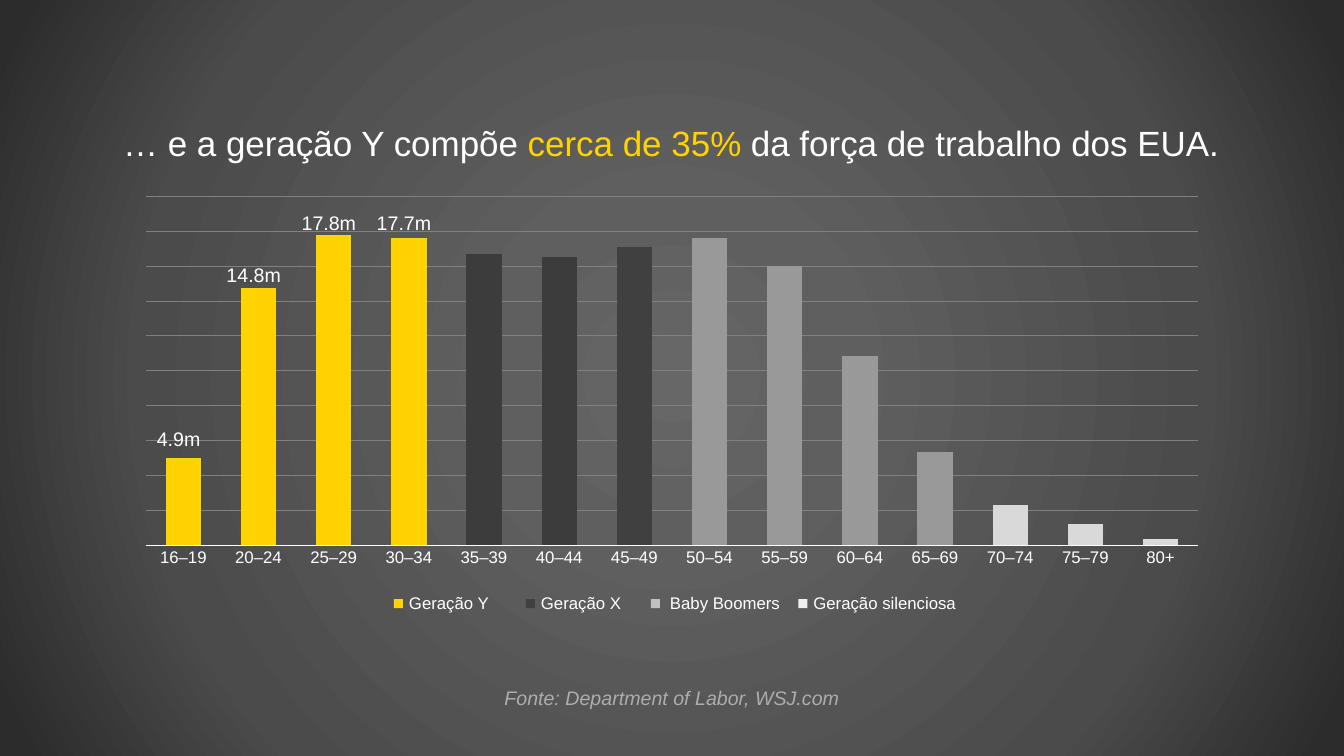
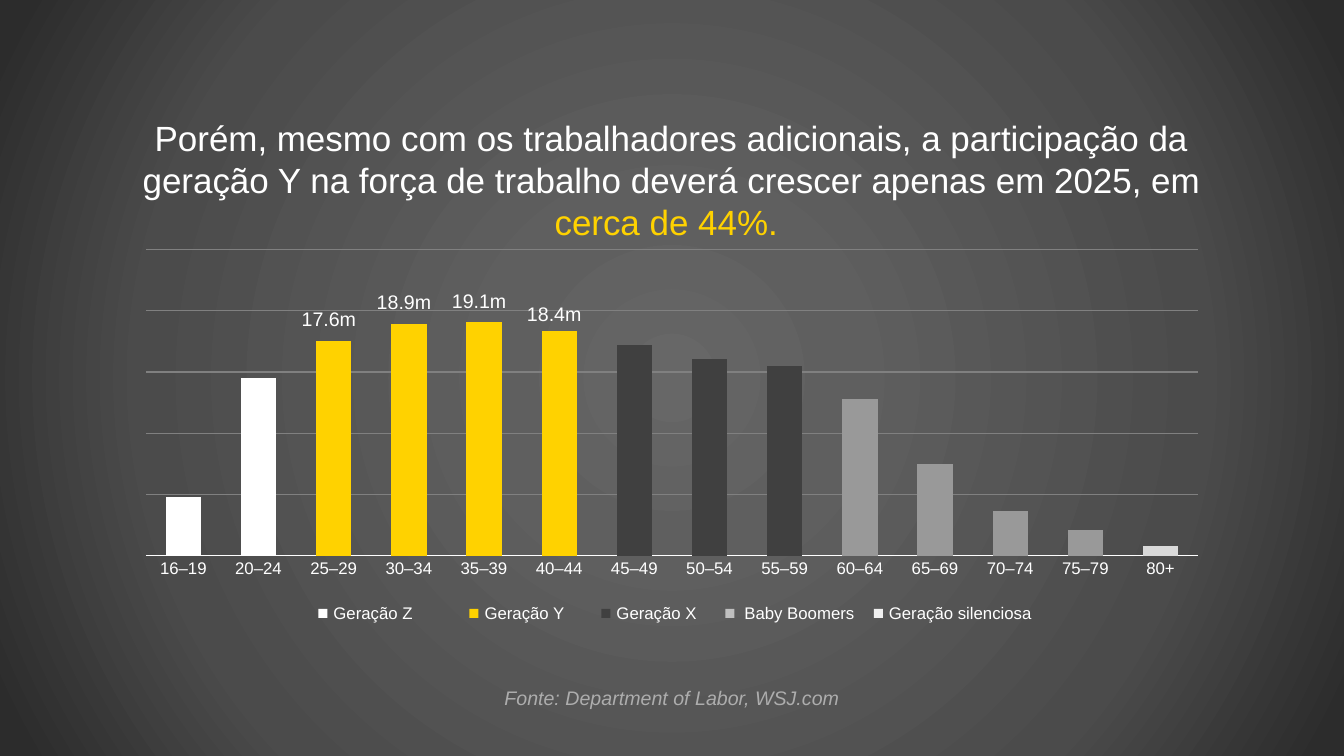
from lxml import etree
from pptx import Presentation
from pptx import util as u
from pptx.chart import data as chart_data
from pptx.dml.color import RGBColor
from pptx.enum import chart as ch, shapes, text
from pptx.oxml import ns

WIDTH, HEIGHT = 13.34, 7.5
FONT = "Arial"
COLORS = {
    "white": "FFFFFF", "gold": "FFD200", "graphite": "404040",
    "charcoal": "3C3C3C", "gray": "999999", "silver": "C0C0C0",
    "light": "D9D9D9", "pale": "F0F0F0", "grid": "808080",
    "source": "ADADAD", "background": "333333",
}
BACKDROP = [(0, "676767"), (23, "5F5F5F"), (69, "4B4B4B"), (97, "2C2C2C")]
AGES = [f"{age}–{age + 4 if age > 16 else 19}" for age in (16, *range(20, 80, 5))] + ["80+"]
SOURCE = "Fonte: Department of Labor, WSJ.com"

# Legend entries: swatch colour, gap before the label, label width
GENERATIONS = {
    "Geração Z": ("white", 1.12, 8.25),
    "Geração Y": ("gold", 1.12, 8.25),
    "Geração X": ("graphite", 1.12, 8.25),
    "Baby Boomers": ("silver", 1.42, 8.92),
    "Geração silenciosa": ("pale", 1.12, 11.32),
}


class Deck:
    """Style and current slide; positions are on a grid of 100 columns by 100 rows."""

    PLOT_LEFT, BAR_STEP = 10.5, 5.59

    def __init__(self):
        self.prs = Presentation()
        self.prs.slide_width, self.prs.slide_height = u.Inches(WIDTH), u.Inches(HEIGHT)
        self.slide = None

    def new_slide(self):
        first = self.slide is None
        self.slide = self.prs.slides.add_slide(self.prs.slide_layouts[6])
        if first:
            self.backdrop()

    def backdrop(self):
        """Radial gradient rectangle, moved to the master so that all slides share it."""
        master = self.prs.slide_master
        self.fill(master.background.fill, "background")
        panel = self.rectangle(0, 0, 100, 100, "background")
        panel.fill.gradient()
        gradient = panel.element.find(".//" + ns.qn("a:gradFill"))
        for child in list(gradient):
            gradient.remove(child)
        stops = etree.SubElement(gradient, ns.qn("a:gsLst"))
        for percent, color in BACKDROP:
            stop = etree.SubElement(stops, ns.qn("a:gs"), pos=str(percent * 1000))
            etree.SubElement(stop, ns.qn("a:srgbClr"), val=color)
        circle = etree.SubElement(gradient, ns.qn("a:path"), path="circle")
        etree.SubElement(circle, ns.qn("a:fillToRect"), dict.fromkeys("ltrb", "50000"))
        master.element.find(".//" + ns.qn("p:spTree")).insert(2, panel.element)

    @staticmethod
    def color(name):
        return RGBColor.from_string(COLORS[name])

    @staticmethod
    def box(left, top, width, height):
        return [u.Inches(share * size / 100) for share, size in
                zip((left, top, width, height), (WIDTH, HEIGHT) * 2)]

    def fill(self, fill, color):
        fill.solid()
        fill.fore_color.rgb = self.color(color)

    def style(self, font, size, color="white"):
        font.name, font.size = FONT, u.Pt(size)
        font.color.rgb = self.color(color)

    def rectangle(self, left, top, width, height, color):
        shape = self.slide.shapes.add_shape(
            shapes.MSO_SHAPE.RECTANGLE, *self.box(left, top, width, height))
        shape.shadow.inherit = False
        self.fill(shape.fill, color)
        shape.line.fill.background()
        return shape

    def text(self, area, runs, size, color="white", align=text.PP_ALIGN.CENTER,
             margins=(0, 0, 0, 0), wrap=True, spacing=None):
        """Text box with one paragraph; runs are (words, colour or None)."""
        frame = self.slide.shapes.add_textbox(*self.box(*area)).text_frame
        frame.word_wrap = wrap
        (frame.margin_left, frame.margin_top,
         frame.margin_right, frame.margin_bottom) = map(u.Inches, margins)
        paragraph = frame.paragraphs[0]
        paragraph.alignment, paragraph.line_spacing = align, spacing
        self.style(paragraph.font, size, color)
        for words, accent in runs:
            run = paragraph.add_run()
            run.text = words
            if accent:
                run.font.color.rgb = self.color(accent)
        return paragraph

    def title(self, top, runs):
        self.text((9.15, top, 81.56, 3.87), runs, 25)

    def source(self):
        note = self.text((17.54, 91.2, 64.92, 4.67), [(SOURCE, None)], 14, "source", spacing=0.85)
        note.font.italic = True

    def legend(self, top, lefts):
        for name, left in lefts.items():
            color, gap, width = GENERATIONS[name]
            self.rectangle(left, top, 0.67, 1.2, color)
            self.text((left + gap, top - 0.93, width, 2.8), [(name, None)], 12,
                      align=text.PP_ALIGN.LEFT, margins=(0, 0.04, 0, 0), spacing=0.85)

    def bar_labels(self, first_bar, labels):
        """Labels over consecutive bars, centred on their columns."""
        width = 5.92
        for bar, (words, top) in enumerate(labels, first_bar):
            center = self.PLOT_LEFT + (bar + 0.5) * self.BAR_STEP
            self.text((center - width / 2, top, width, 4.53), [(words, None)], 14,
                      margins=(0.1, 0.05, 0.1, 0.05), wrap=False)

    def chart(self, top, height, workers, bar_colors, step, intervals):
        """Column chart; bar_colors are (colour, number of bars) from the left."""
        data = chart_data.CategoryChartData()
        data.categories = AGES
        data.add_series("Series 1", workers)
        chart = self.slide.shapes.add_chart(
            ch.XL_CHART_TYPE.COLUMN_CLUSTERED, *self.box(9.22, top, 81.56, height), data).chart
        chart.has_legend = chart.has_title = False
        self.style(chart.font, 10)

        ages = chart.category_axis
        ages.major_tick_mark = ages.minor_tick_mark = ch.XL_TICK_MARK.NONE
        self.style(ages.tick_labels.font, 12)
        scale = chart.value_axis
        scale.visible = False
        scale.minimum_scale, scale.maximum_scale = 0, round(step * intervals, 2)
        scale.major_unit = step
        scale.has_major_gridlines = True
        for line, color in ((ages.format.line, "white"),
                            (scale.major_gridlines.format.line, "grid")):
            line.color.rgb = self.color(color)
            line.width = u.Pt(0.75)

        plot = chart.plots[0]
        plot.gap_width, plot.vary_by_categories = 113, False
        bars = plot.series[0]
        self.fill(bars.format.fill, "gold")
        colors = [color for color, count in bar_colors for _ in range(count)]
        for index, color in enumerate(colors):
            if color != "gold":
                self.fill(bars.points[index].format.fill, color)


def main():
    deck = Deck()

    # Workforce today
    deck.new_slide()
    deck.chart(24.97, 51.07,
               [28, 83, 100, 99, 94, 93, 96, 99, 90, 61, 30, 13, 7, 2],
               [("gold", 4), ("charcoal", 2), ("graphite", 1), ("gray", 4), ("light", 3)],
               step=11.24, intervals=10)
    deck.title(16.13, [("… e a geração Y compõe ", None), ("cerca de 35% ", "gold"),
                       ("da força de trabalho dos EUA. ", None)])
    deck.source()
    deck.legend(79.25, {"Geração Y": 29.31, "Geração X": 39.13,
                        "Baby Boomers": 48.43, "Geração silenciosa": 59.4})
    deck.bar_labels(0, [("4.9m", 55.8), ("14.8m", 34.05), ("17.8m", 27.25), ("17.7m", 27.25)])

    # Workforce in 2025
    deck.new_slide()
    deck.chart(32.13, 45.15,
               [25, 76, 92, 99, 100, 96, 90, 84, 81, 67, 39, 19, 11, 4],
               [("white", 2), ("gold", 4), ("graphite", 3), ("gray", 4), ("light", 1)],
               step=26.18, intervals=5)
    deck.title(15.47, [("Porém, mesmo com os trabalhadores adicionais, a participação da geração Y "
                        "na força de trabalho deverá crescer apenas em 2025, em ", None),
                       ("cerca de 44%. ", "gold")])
    deck.source()
    deck.bar_labels(2, [("17.6m", 40), ("18.9m", 37.73), ("19.1m", 37.6), ("18.4m", 39.25)])
    deck.legend(80.53, {"Geração Z": 23.69, "Geração Y": 34.93, "Geração X": 44.75,
                        "Baby Boomers": 53.97, "Geração silenciosa": 65.02})

    deck.prs.save("out.pptx")


if __name__ == "__main__":
    main()
